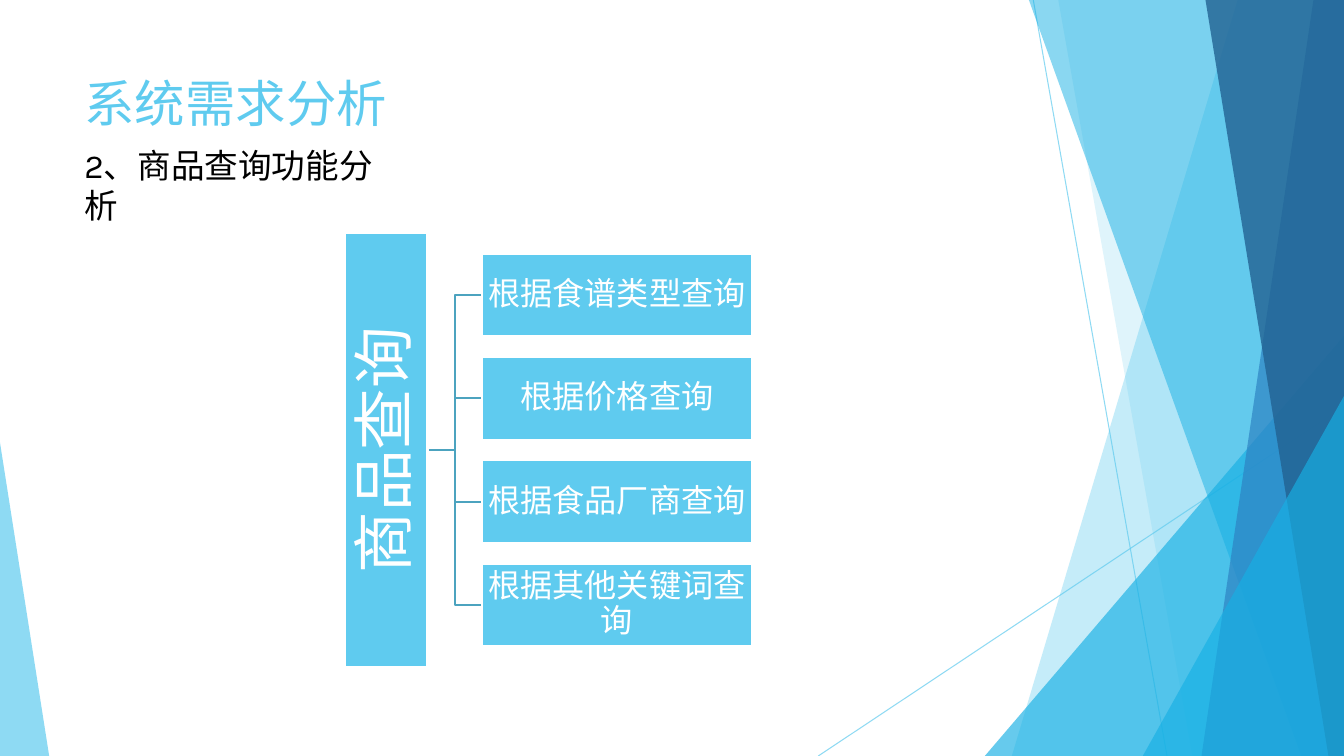
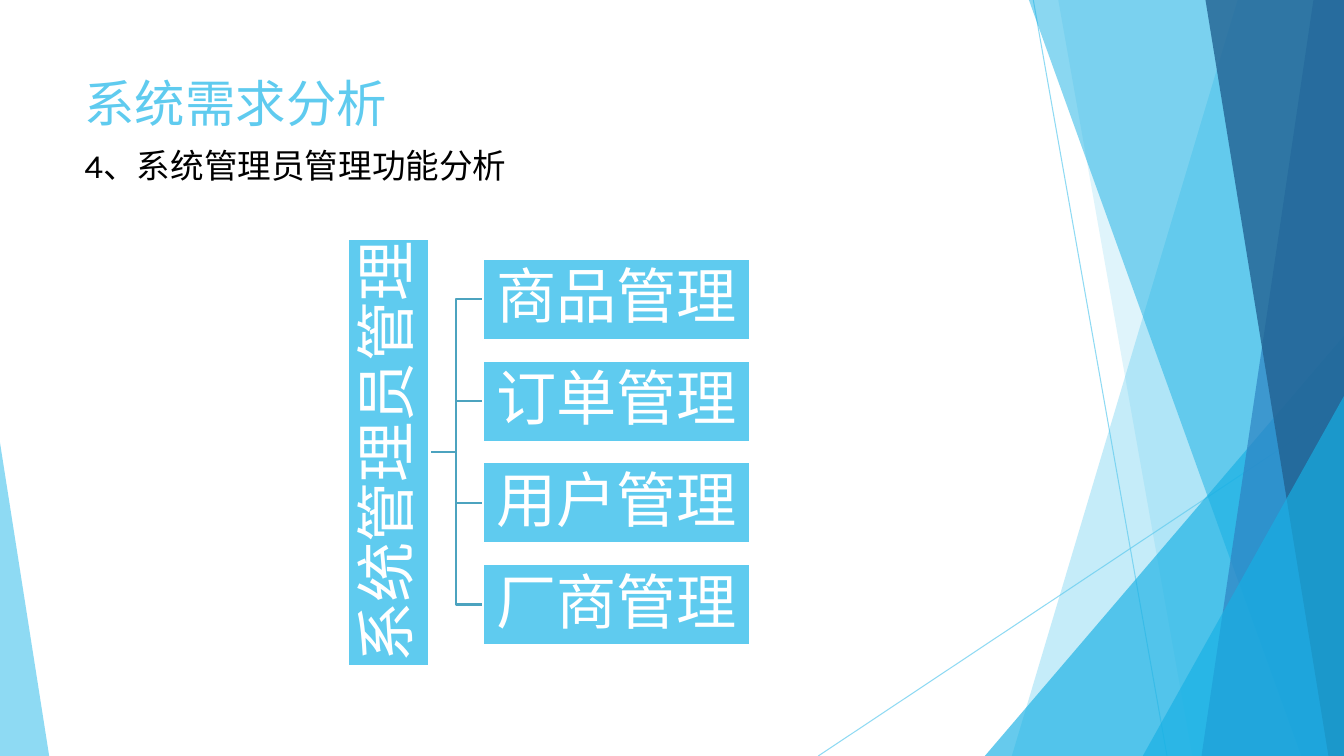
import dataclasses
from typing import Any

import pptx
import pptx.dml.color
import pptx.enum.shapes
import pptx.enum.text
import pptx.oxml
import pptx.oxml.ns
import pptx.util

Cm = pptx.util.Cm
Pt = pptx.util.Pt
Shapes = pptx.enum.shapes.MSO_SHAPE
Align = pptx.enum.text.PP_ALIGN
Anchor = pptx.enum.text.MSO_ANCHOR
Point = tuple[float, float]

WIDTH, HEIGHT = 33.87, 19.05
FONT = "Karla"
COLOURS = {
    "sky": "5FCBEF",
    "cyan": "17B0E4",
    "blue": "2E83C3",
    "navy": "226292",
    "branch": "4CA3BF",
    "white": "FFFFFF",
    "black": "000000",
}


@dataclasses.dataclass(frozen=True)
class Ray:
    start: Point
    end: Point


@dataclasses.dataclass(frozen=True)
class Band:
    top_left: float
    bottom_left: float
    colour: str
    alpha: int


@dataclasses.dataclass(frozen=True)
class Wedge:
    left: float
    top: float
    width: float
    apex: float
    colour: str
    alpha: int


@dataclasses.dataclass(frozen=True)
class Tree:
    root: str
    leaves: tuple[str, ...]
    leaf_left: float
    middle: float
    unit: float
    root_size: int
    leaf_size: int


@dataclasses.dataclass(frozen=True)
class Topic:
    caption: str
    caption_width: float
    tree: Tree


RAYS = (Ray((26.04, 0), (29.41, HEIGHT)), Ray((WIDTH, 10.24), (20.62, HEIGHT)))
BACKDROP = (
    Band(31.19, 25.5, "sky", 36),
    Band(26.67, 30.05, "sky", 20),
    Wedge(24.82, 8.46, 9.05, 1, "cyan", 66),
    Band(25.93, 32.79, "cyan", 50),
    Band(33.1, 30.28, "blue", 70),
    Band(30.38, 33.48, "navy", 80),
    Wedge(28.8, 9.98, 5.07, 1, "cyan", 66),
    Wedge(0, 11.15, 1.24, 0, "sky", 70),
)
TITLE = "系统需求分析"
TOPICS = (
    Topic(
        "2、商品查询功能分析",
        8.61,
        Tree(
            "商品查询",
            ("根据食谱类型查询", "根据价格查询", "根据食品厂商查询", "根据其他关键词查询"),
            12.14, 11.34, 2.08, 44, 23,
        ),
    ),
    Topic(
        "4、系统管理员管理功能分析",
        11.94,
        Tree(
            "系统管理员管理",
            ("商品管理", "订单管理", "用户管理", "厂商管理"),
            12.17, 11.39, 2.05, 43, 43,
        ),
    ),
)


def rgb(name: str) -> pptx.dml.color.RGBColor:
    return pptx.dml.color.RGBColor.from_string(COLOURS[name])


def apply(target: Any, values: dict[str, Any]) -> None:
    for name, value in values.items():
        setattr(target, name, value)


def set_alpha(shape: Any, percent: int) -> None:
    for colour in shape.element.spPr.iter(pptx.oxml.ns.qn("a:srgbClr")):
        alpha = colour.makeelement(pptx.oxml.ns.qn("a:alpha"), {"val": str(percent * 1000)})
        colour.append(alpha)


def paint(shape: Any, fill: str | None = None, line: str | None = None) -> None:
    shape.shadow.inherit = False
    if fill:
        shape.fill.solid()
        shape.fill.fore_color.rgb = rgb(fill)
    else:
        shape.fill.background()
    if line:
        shape.line.color.rgb = rgb(line)
        shape.line.width = Pt(1.5)
    else:
        shape.line.fill.background()


def write(box: Any, text: str, size: int, colour: str, frame_values: dict[str, Any],
          para_values: dict[str, Any]) -> None:
    frame = box.text_frame
    apply(frame, {"word_wrap": True, **frame_values})
    para = frame.paragraphs[0]
    apply(para, para_values)
    span = para.add_run()
    span.text = text
    apply(span.font, {"name": FONT, "size": Pt(size)})
    span.font.color.rgb = rgb(colour)


def draw_outline(page: Any, points: list[Point], closed: bool) -> Any:
    places = [(Cm(x), Cm(y)) for x, y in points]
    builder = page.shapes.build_freeform(*places[0])
    builder.add_line_segments(places[1:], close=closed)
    return builder.convert_to_shape()


def draw_ray(page: Any, ray: Ray) -> None:
    line = page.shapes.add_connector(
        pptx.enum.shapes.MSO_CONNECTOR.STRAIGHT, *map(Cm, ray.start + ray.end))
    line.line.color.rgb = rgb("sky")
    line.line.width = Pt(0.75)
    set_alpha(line, 70)
    properties = line.element.spPr
    properties.append(properties.makeelement(pptx.oxml.ns.qn("a:effectLst"), {}))


def draw_backdrop(page: Any) -> None:
    for ray in RAYS:
        draw_ray(page, ray)
    for part in BACKDROP:
        if isinstance(part, Band):
            corners = [(part.top_left, 0), (WIDTH, 0), (WIDTH, HEIGHT), (part.bottom_left, HEIGHT)]
            shape = draw_outline(page, corners, True)
        else:
            shape = page.shapes.add_shape(
                Shapes.ISOSCELES_TRIANGLE, Cm(part.left), Cm(part.top),
                Cm(part.width), Cm(HEIGHT - part.top))
            shape.adjustments[0] = part.apex
        paint(shape, part.colour)
        set_alpha(shape, part.alpha)


def draw_text(page: Any, text: str, top: float, width: float, height: float,
              size: int, colour: str, frame_values: dict[str, Any]) -> None:
    box = page.shapes.add_textbox(Cm(1.88), Cm(top), Cm(width), Cm(height))
    write(box, text, size, colour, frame_values, {})


def draw_node(page: Any, text: str, size: int, centre: Point, width: float,
              height: float, rotation: int = 0) -> None:
    box = page.shapes.add_shape(
        Shapes.RECTANGLE, Cm(centre[0] - width / 2), Cm(centre[1] - height / 2),
        Cm(width), Cm(height))
    box.rotation = rotation
    paint(box, "sky", "white")
    sides = ("left", "top", "right", "bottom")
    inset = Cm(size * 0.0016)
    frame_values = {f"margin_{side}": inset for side in sides}
    frame_values["vertical_anchor"] = Anchor.MIDDLE
    write(box, text, size, "white", frame_values,
          {"alignment": Align.CENTER, "line_spacing": 0.9})


def draw_tree(page: Any, tree: Tree) -> None:
    height = tree.unit
    leaf_width, root_length = 3.28 * height, 5.25 * height
    gap, pitch = 0.656 * height, 1.25 * height
    root_right = tree.leaf_left - gap
    bend = tree.leaf_left - gap / 2
    first = tree.middle - pitch * (len(tree.leaves) - 1) / 2
    rows = [first + pitch * index for index in range(len(tree.leaves))]
    for row in reversed(rows):
        branch = draw_outline(
            page,
            [(root_right, tree.middle), (bend, tree.middle), (bend, row), (tree.leaf_left, row)],
            False)
        paint(branch, line="branch")
    draw_node(page, tree.root, tree.root_size, (root_right - height / 2, tree.middle),
              root_length, height, 270)
    for leaf, row in zip(tree.leaves, rows):
        draw_node(page, leaf, tree.leaf_size, (tree.leaf_left + leaf_width / 2, row),
                  leaf_width, height)


def main() -> None:
    deck = pptx.Presentation()
    apply(deck, {"slide_width": Cm(WIDTH), "slide_height": Cm(HEIGHT)})
    for topic in TOPICS:
        page = deck.slides.add_slide(deck.slide_layouts[6])
        draw_backdrop(page)
        draw_text(page, TITLE, 1.7, 23.88, 3.66, 36, "sky", {"vertical_anchor": Anchor.TOP})
        draw_tree(page, topic.tree)
        draw_text(page, topic.caption, 3.53, topic.caption_width, 1.27, 24, "black",
                  {"auto_size": pptx.enum.text.MSO_AUTO_SIZE.SHAPE_TO_FIT_TEXT})
    deck.save("out.pptx")


if __name__ == "__main__":
    main()
